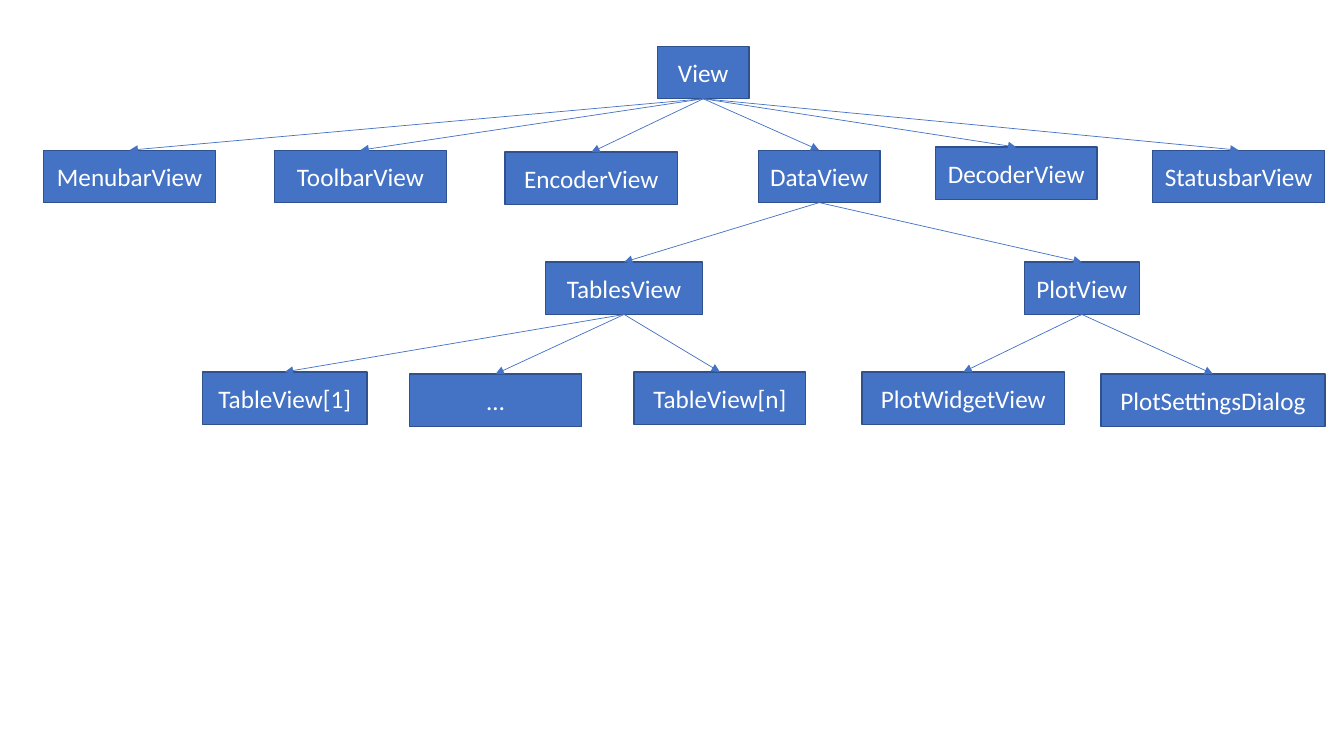
from dataclasses import dataclass

import pptx
import pptx.dml.color
import pptx.enum.shapes
import pptx.enum.text
import pptx.oxml
import pptx.oxml.ns
import pptx.shapes.autoshape
import pptx.slide
import pptx.util
from pptx.util import Inches


@dataclass(frozen=True)
class Theme:
    box_fill: str = "4472C4"
    box_line: str = "2F528F"
    arrow: str = "4472C4"
    text: str = "FFFFFF"
    font: str = "Calibri"
    text_size: float = 18
    box_line_width: float = 1
    arrow_width: float = 0.5
    box_height: float = 0.52


@dataclass(frozen=True)
class ViewBox:
    label: str
    left: float
    top: float
    width: float
    parent: str = ""


THEME = Theme()
BOTTOM, TOP = 2, 0

# The view hierarchy, each parent ahead of its children
VIEWS = [
    ViewBox("View", 6.52, 0.46, 0.91),
    ViewBox("MenubarView", 0.43, 1.49, 1.71, "View"),
    ViewBox("ToolbarView", 2.72, 1.49, 1.71, "View"),
    ViewBox("EncoderView", 5.01, 1.51, 1.71, "View"),
    ViewBox("DataView", 7.52, 1.49, 1.21, "View"),
    ViewBox("DecoderView", 9.28, 1.46, 1.6, "View"),
    ViewBox("StatusbarView", 11.43, 1.49, 1.71, "View"),
    ViewBox("TablesView", 5.41, 2.6, 1.56, "DataView"),
    ViewBox("PlotView", 10.16, 2.6, 1.14, "DataView"),
    ViewBox("TableView[1]", 2.01, 3.69, 1.63, "TablesView"),
    ViewBox("…", 4.06, 3.71, 1.71, "TablesView"),
    ViewBox("TableView[n]", 6.29, 3.69, 1.7, "TablesView"),
    ViewBox("PlotWidgetView", 8.55, 3.69, 2.01, "PlotView"),
    ViewBox("PlotSettingsDialog", 10.92, 3.71, 2.22, "PlotView"),
]


def set_attributes(target: object, values: dict[str, object]) -> None:
    for name, value in values.items():
        setattr(target, name, value)


def rgb(color: str) -> pptx.dml.color.RGBColor:
    return pptx.dml.color.RGBColor.from_string(color)


def draw_box(slide: pptx.slide.Slide, view: ViewBox) -> pptx.shapes.autoshape.Shape:
    shape = slide.shapes.add_shape(
        pptx.enum.shapes.MSO_SHAPE.RECTANGLE,
        Inches(view.left), Inches(view.top), Inches(view.width), Inches(THEME.box_height),
    )
    shape.shadow.inherit = False
    shape.fill.solid()
    shape.fill.fore_color.rgb = rgb(THEME.box_fill)
    shape.line.color.rgb = rgb(THEME.box_line)
    shape.line.width = pptx.util.Pt(THEME.box_line_width)

    # Centred label
    set_attributes(shape.text_frame, {
        "text": view.label,
        "word_wrap": False,
        "vertical_anchor": pptx.enum.text.MSO_ANCHOR.MIDDLE,
    })
    paragraph = shape.text_frame.paragraphs[0]
    paragraph.alignment = pptx.enum.text.PP_ALIGN.CENTER
    font = paragraph.runs[0].font
    set_attributes(font, {"name": THEME.font, "size": pptx.util.Pt(THEME.text_size)})
    font.color.rgb = rgb(THEME.text)
    return shape


def draw_arrow(
    slide: pptx.slide.Slide,
    parent: pptx.shapes.autoshape.Shape,
    child: pptx.shapes.autoshape.Shape,
) -> None:
    connector = slide.shapes.add_connector(
        pptx.enum.shapes.MSO_CONNECTOR.STRAIGHT,
        parent.left + parent.width // 2, parent.top + parent.height,
        child.left + child.width // 2, child.top,
    )
    connector.begin_connect(parent, BOTTOM)
    connector.end_connect(child, TOP)
    connector.line.color.rgb = rgb(THEME.arrow)
    connector.line.width = pptx.util.Pt(THEME.arrow_width)

    # Arrowhead at the child, no shadow
    namespace = pptx.oxml.ns.nsdecls("a")
    properties = connector.line._get_or_add_ln()
    properties.append(pptx.oxml.parse_xml(f'<a:tailEnd {namespace} type="triangle"/>'))
    properties.getparent().append(pptx.oxml.parse_xml(f"<a:effectLst {namespace}/>"))


def main() -> None:
    presentation = pptx.Presentation()
    set_attributes(presentation, {"slide_width": Inches(13.33), "slide_height": Inches(7.5)})
    blank_layout = presentation.slide_layouts[6]
    slide = presentation.slides.add_slide(blank_layout)

    # Boxes first, then the arrows that join them
    boxes = {view.label: draw_box(slide, view) for view in VIEWS}
    for view in VIEWS:
        if view.parent:
            draw_arrow(slide, boxes[view.parent], boxes[view.label])

    presentation.save("out.pptx")


if __name__ == "__main__":
    main()
